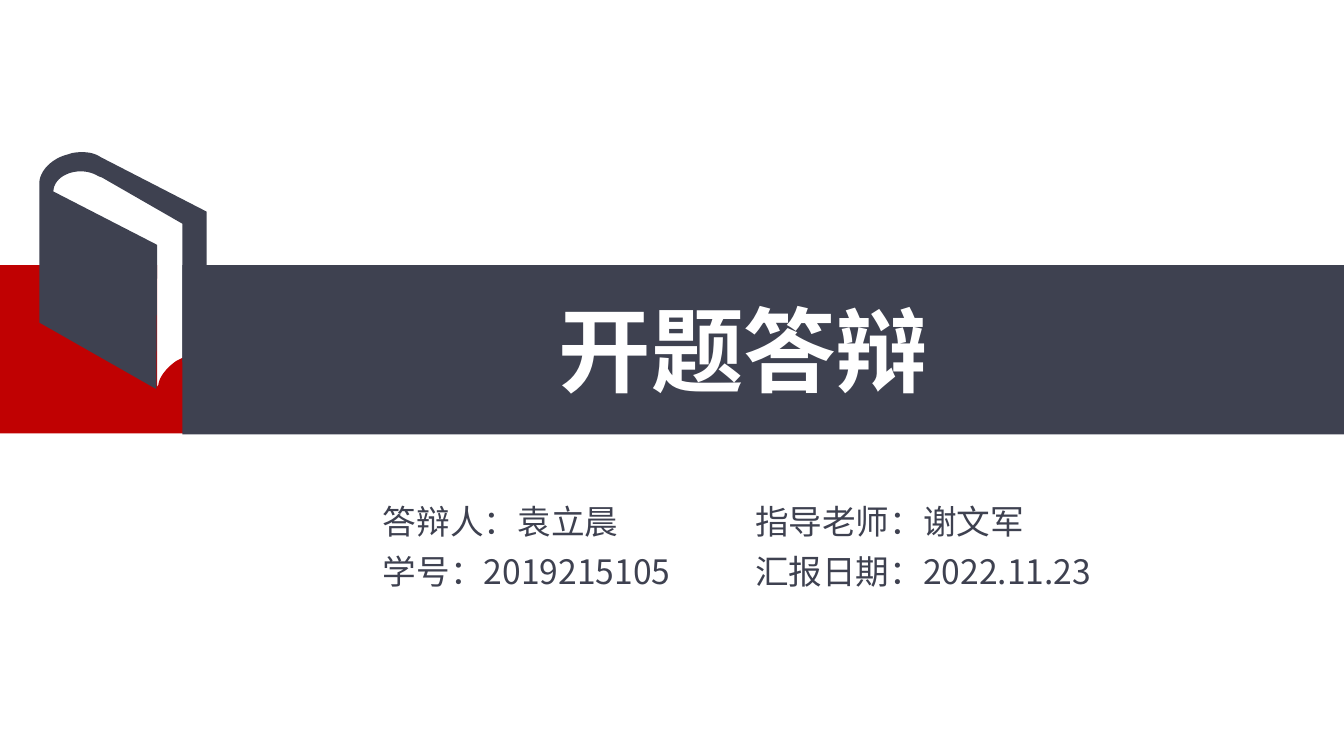
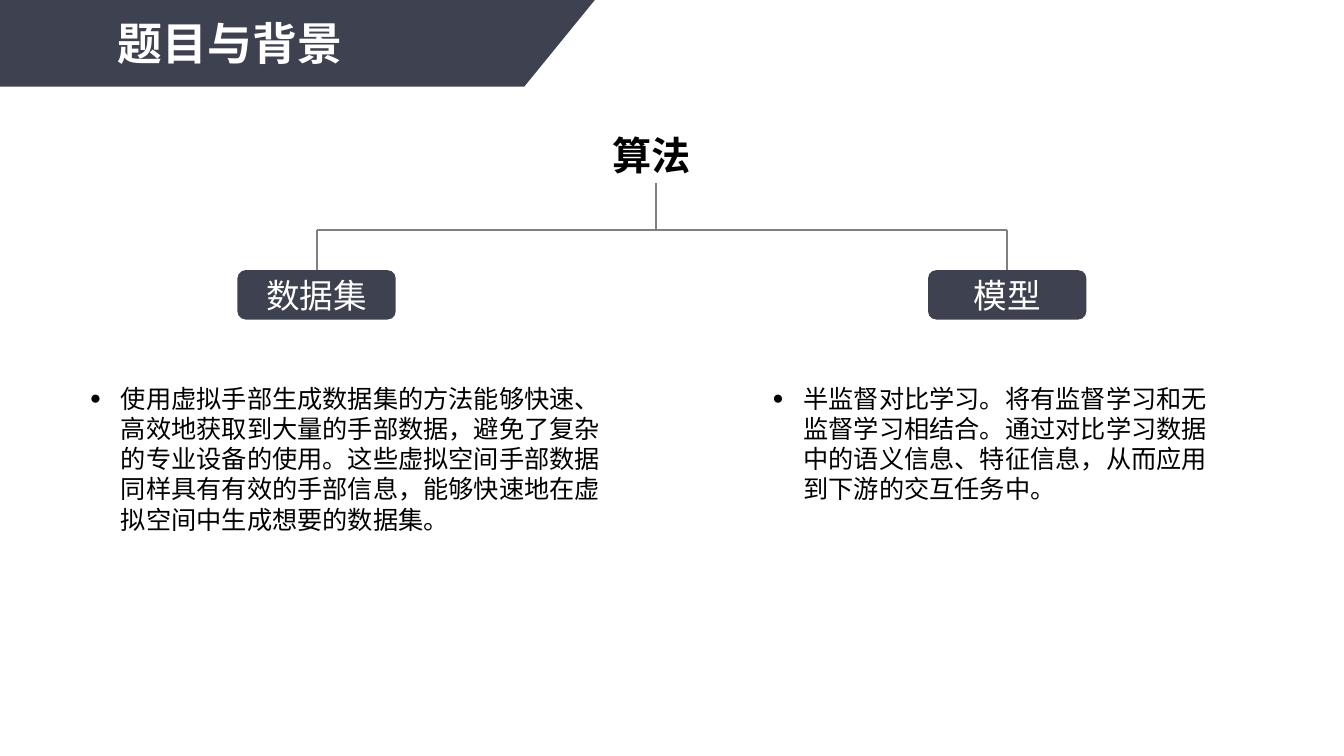
from dataclasses import dataclass

from lxml import etree
from pptx import Presentation
from pptx import util as u
from pptx.dml.color import RGBColor
from pptx.enum import shapes, text
from pptx.oxml.ns import qn


@dataclass(frozen=True)
class Theme:
    """Colours, fonts and type sizes of the deck."""
    slate: RGBColor = RGBColor(0x3E, 0x41, 0x50)
    red: RGBColor = RGBColor(0xC0, 0x01, 0x02)
    gray: RGBColor = RGBColor(0x80, 0x80, 0x80)
    black: RGBColor = RGBColor(0, 0, 0)
    white: RGBColor = RGBColor(0xFF, 0xFF, 0xFF)
    sans: str = "Noto Sans CJK SC"
    serif: str = "Times New Roman"
    cover: int = 66
    title: int = 32
    heading: int = 28
    label: int = 24
    body: int = 18
    rule: float = 1.5


def curve(p0, p1, p2, p3, steps=12):
    """Return points along a cubic curve, without its start."""
    points = []
    for i in range(1, steps + 1):
        t = i / steps
        weights = ((1 - t) ** 3, 3 * t * (1 - t) ** 2, 3 * t * t * (1 - t), t ** 3)
        points.append(tuple(sum(w * pt[axis] for w, pt in zip(weights, (p0, p1, p2, p3)))
                            for axis in (0, 1)))
    return points


class Deck:
    """Hold the style and the current slide."""

    def __init__(self, theme):
        self.theme = theme
        self.prs = Presentation()
        self.prs.slide_width = u.Inches(13.33)
        self.prs.slide_height = u.Inches(7.5)
        self.s = None

    def new_slide(self, layout):
        self.s = self.prs.slides.add_slide(self.prs.slide_layouts[layout])

    def style(self, p, size, color, bold=False, font=None):
        p.font.size = u.Pt(size)
        p.font.bold = bold
        p.font.color.rgb = color
        p.font.name = font or self.theme.sans
        props = p._p.pPr.find(qn("a:defRPr"))
        etree.SubElement(props, qn("a:ea")).set("typeface", self.theme.sans)

    def set_text(self, sp, words, size, color, bold=False):
        tf = sp.text_frame
        tf.word_wrap = True
        tf.auto_size = text.MSO_AUTO_SIZE.NONE
        tf.vertical_anchor = text.MSO_ANCHOR.TOP
        p = tf.paragraphs[0]
        p.text = words
        p.alignment = text.PP_ALIGN.LEFT
        self.style(p, size, color, bold)

    def place(self, sp, x, y, w, h):
        sp.left, sp.top, sp.width, sp.height = map(u.Inches, (x, y, w, h))

    def title(self, words, x, y, w, h, size):
        sp = self.s.shapes.title
        self.place(sp, x, y, w, h)
        self.set_text(sp, words, size, self.theme.white, True)
        self.s.shapes._spTree.append(sp._element)

    def label(self, words, x, y, w, h, size, color, bold=False):
        sp = self.s.shapes.add_textbox(*map(u.Inches, (x, y, w, h)))
        self.set_text(sp, words, size, color, bold)

    def bullet(self, idx, words, x, y, w, h):
        sp = self.s.placeholders[idx]
        self.place(sp, x, y, w, h)
        tf = sp.text_frame
        tf.auto_size = text.MSO_AUTO_SIZE.NONE
        p = tf.paragraphs[0]
        p.text = words
        p.space_before = u.Pt(0)
        props = p._p.get_or_add_pPr()
        props.set("marL", str(u.Inches(0.31)))
        props.set("indent", str(u.Inches(-0.31)))
        for tag, key, value in (("a:buSzPct", "val", "75000"),
                                ("a:buFont", "typeface", self.theme.serif),
                                ("a:buChar", "char", "●")):
            etree.SubElement(props, qn(tag)).set(key, value)
        self.style(p, self.theme.body, self.theme.black, font=self.theme.serif)

    def fill(self, sp, color):
        sp.shadow.inherit = False
        sp.fill.solid()
        sp.fill.fore_color.rgb = color
        sp.line.fill.background()

    def box(self, kind, x, y, w, h):
        sp = self.s.shapes.add_shape(kind, *map(u.Inches, (x, y, w, h)))
        self.fill(sp, self.theme.slate)
        return sp

    def tag(self, words, x, y, w, h):
        sp = self.box(shapes.MSO_SHAPE.ROUNDED_RECTANGLE, x, y, w, h)
        tf = sp.text_frame
        tf.margin_top = tf.margin_bottom = 0
        p = tf.paragraphs[0]
        p.text = words
        p.alignment = text.PP_ALIGN.CENTER
        self.style(p, self.theme.label, self.theme.white)

    def outline(self, points, color):
        points = [(u.Inches(x), u.Inches(y)) for x, y in points]
        builder = self.s.shapes.build_freeform(*points[0])
        builder.add_line_segments(points[1:], close=True)
        self.fill(builder.convert_to_shape(), color)

    def line(self, x1, y1, x2, y2):
        cx = self.s.shapes.add_connector(shapes.MSO_CONNECTOR.STRAIGHT,
                                         *map(u.Inches, (x1, y1, x2, y2)))
        cx.line.color.rgb = self.theme.gray
        cx.line.width = u.Pt(self.theme.rule)
        etree.SubElement(cx._element.spPr, qn("a:effectLst"))


def cover_slide(deck):
    """Build the cover with its book and band."""
    theme = deck.theme
    deck.new_slide(5)
    deck.outline([(0, 2.63), (1.56, 2.63), (1.56, 3.84), (1.57, 3.82),
                  *curve((1.57, 3.82), (1.58, 3.74), (1.65, 3.65), (1.75, 3.58)),
                  (1.83, 3.54), (1.83, 2.63), (1.84, 2.63), (1.84, 4.3), (0, 4.3)],
                 theme.red)
    deck.outline([(0.83, 1.51),
                  *curve((0.83, 1.51), (0.89, 1.51), (0.96, 1.53), (1, 1.56)),
                  (1.02, 1.57), (2.05, 2.1), (2.05, 3.59), (1.81, 3.59),
                  (1.81, 2.22), (1.01, 1.76), (0.98, 1.75),
                  *curve((0.98, 1.75), (0.93, 1.72), (0.87, 1.7), (0.8, 1.7)),
                  *curve((0.8, 1.7), (0.65, 1.7), (0.53, 1.79), (0.53, 1.9)),
                  (1.56, 2.43), (1.55, 3.86), (0.39, 3.2), (0.39, 1.82),
                  *curve((0.39, 1.82), (0.39, 1.7), (0.51, 1.57), (0.68, 1.53)),
                  *curve((0.68, 1.53), (0.73, 1.51), (0.78, 1.51), (0.83, 1.51))],
                 theme.slate)
    deck.box(shapes.MSO_SHAPE.RECTANGLE, 1.81, 2.63, 11.52, 1.68)
    deck.title("开题答辩", 5.44, 2.86, 3.9, 1.21, theme.cover)
    columns = ((3.7, ("答辩人：袁立晨", "学号：2019215105")),
               (7.39, ("指导老师：谢文军", "汇报日期：2022.11.23")))
    for x, entries in columns:
        for row, words in enumerate(entries):
            deck.label(words, x, 4.92 + 0.5 * row, 3.65, 0.5, theme.label, theme.slate)


def background_slide(deck):
    """Build the topic tree with its two branches."""
    theme = deck.theme
    deck.new_slide(3)
    deck.outline([(0, 0), (5.9, 0), (5.2, 0.86), (0, 0.86)], theme.slate)
    deck.title("题目与背景", 1.07, 0.11, 2.6, 0.64, theme.title)
    deck.label("算法", 5.98, 1.25, 1.06, 0.57, theme.heading, theme.black, True)
    branches = (
        (3.14, "数据集", 0.79, 5.46,
         "使用虚拟手部生成数据集的方法能够快速、高效地获取到大量的手部数据，避免了复杂的专业设备的使用。"
         "这些虚拟空间手部数据同样具有有效的手部信息，能够快速地在虚拟空间中生成想要的数据集。"),
        (9.99, "模型", 7.56, 4.64,
         "半监督对比学习。将有监督学习和无监督学习相结合。"
         "通过对比学习数据中的语义信息、特征信息，从而应用到下游的交互任务中。"),
    )
    fork, tag_top, tag_w = 2.28, 2.68, 1.57
    deck.line(6.51, 1.82, 6.51, fork)
    deck.line(branches[0][0], fork, branches[1][0], fork)
    for idx, (center, name, x, w, words) in enumerate(branches, 1):
        deck.line(center, fork, center, tag_top)
        deck.tag(name, center - tag_w / 2, tag_top, tag_w, 0.49)
        deck.bullet(idx, words, x, 3.75, w, 1.62)


def main():
    """Build and save the deck."""
    deck = Deck(Theme())
    cover_slide(deck)
    background_slide(deck)
    deck.prs.save("out.pptx")


if __name__ == "__main__":
    main()
